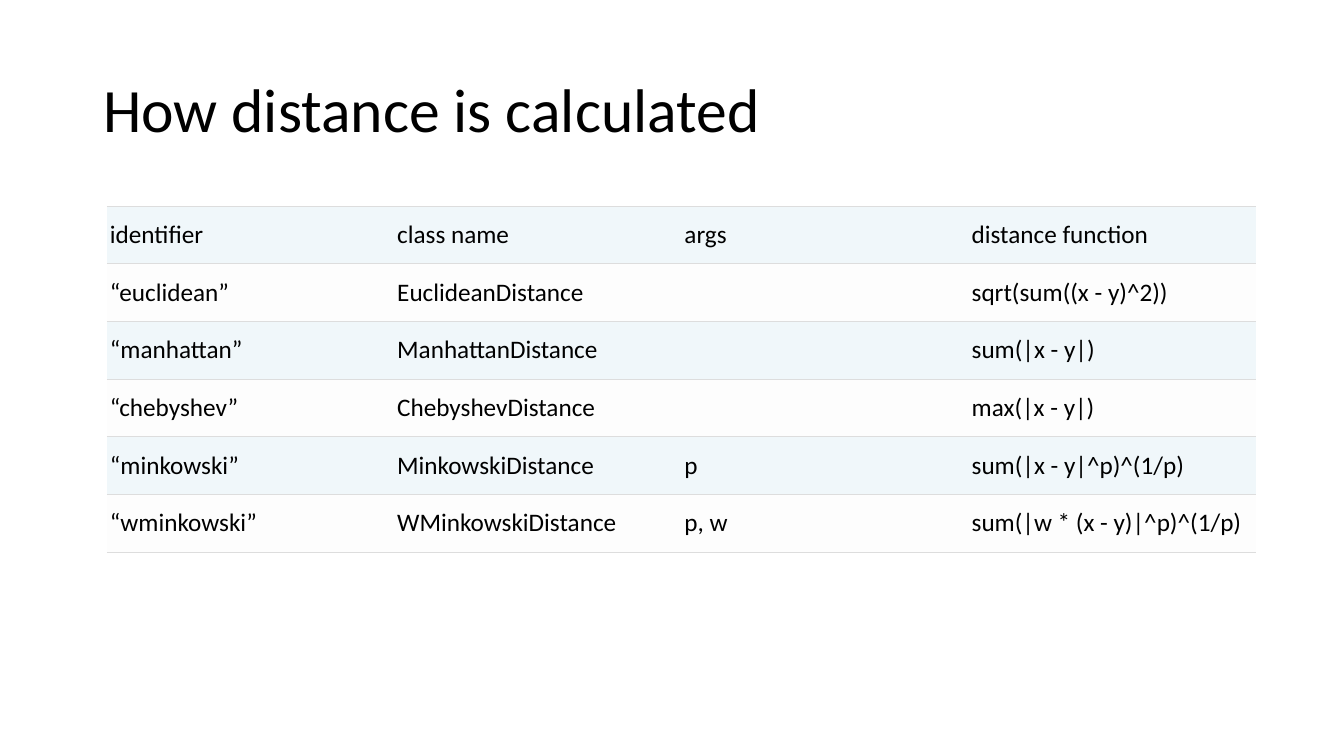
from lxml.etree import SubElement
from pptx import Presentation
from pptx.dml.color import RGBColor
from pptx.enum.text import MSO_ANCHOR as Anchor, PP_ALIGN as Align
from pptx.oxml.ns import qn
from pptx.util import Pt

EMU_PER_PIXEL = 914400 / 100.8
BLACK = RGBColor(0x00, 0x00, 0x00)
BAND_BLUE = RGBColor(0xF0, 0xF7, 0xFA)
BAND_WHITE = RGBColor(0xFD, 0xFD, 0xFD)
RULE_GRAY = RGBColor(0xDD, 0xDD, 0xDD)
NBSP = "\u00a0"

HEADINGS = ("identifier", "class name", "args", "distance function")
METRICS = (
    ("“euclidean”", "EuclideanDistance", "", "sqrt(sum((x - y)^2))"),
    ("“manhattan”", "ManhattanDistance", "", "sum(|x - y|)"),
    ("“chebyshev”", "ChebyshevDistance", "", "max(|x - y|)"),
    ("“minkowski”", "MinkowskiDistance", "p", "sum(|x - y|^p)^(1/p)"),
    ("“wminkowski”", "WMinkowskiDistance", "p, w", "sum(|w * (x - y)|^p)^(1/p)"),
)


def px(pixels):
    """Turn pixels into EMU."""
    return round(pixels * EMU_PER_PIXEL)


class SlideBuilder:
    """Hold the style and the current slide."""

    font_name = "Calibri"

    def __init__(self, page):
        """Keep the slide to build on."""
        self.page = page

    def style(self, para, size):
        """Set the font and left alignment of a paragraph."""
        para.alignment = Align.LEFT
        para.font.name = self.font_name
        para.font.size = Pt(size)
        para.font.color.rgb = BLACK

    def title(self, text, left, top, width, height):
        """Fill and place the title placeholder."""
        box = self.page.shapes.title
        box.left, box.top, box.width, box.height = map(px, (left, top, width, height))
        box.text_frame.text = text
        box.text_frame.vertical_anchor = Anchor.MIDDLE
        para = box.text_frame.paragraphs[0]
        self.style(para, 44)
        para.line_spacing = 0.9

    def rule_cell(self, cell):
        """Draw thin rules above and below a cell, none at its sides."""
        properties = cell._tc.get_or_add_tcPr()
        for side in ("L", "R", "T", "B"):
            line = SubElement(properties, qn(f"a:ln{side}"), w=str(Pt(0.5)))
            if side in "LR":
                SubElement(line, qn("a:noFill"))
            else:
                fill = SubElement(line, qn("a:solidFill"))
                SubElement(fill, qn("a:srgbClr"), val=str(RULE_GRAY))

    def table(self, rows, left, top, width, height):
        """Add a table with equal columns and rows in two band colours."""
        frame = self.page.shapes.add_table(
            len(rows), len(rows[0]), *map(px, (left, top, width, height)))
        table = frame.table
        table.first_row = table.horz_banding = False
        for row_index, row in enumerate(rows):
            for column_index, text in enumerate(row):
                cell = table.cell(row_index, column_index)
                cell.text = text
                cell.vertical_anchor = Anchor.MIDDLE
                cell.margin_left, cell.margin_right = px(3), px(6)
                cell.margin_top = cell.margin_bottom = px(1)
                self.style(cell.text_frame.paragraphs[0], 18)
                self.rule_cell(cell)
                cell.fill.solid()
                cell.fill.fore_color.rgb = BAND_WHITE if row_index % 2 else BAND_BLUE


def main():
    """Build the slide and save it."""
    deck = Presentation()
    deck.slide_width, deck.slide_height = px(1344), px(756)
    builder = SlideBuilder(deck.slides.add_slide(deck.slide_layouts[5]))
    builder.title("How distance is calculated", 93, 40, 1159, 146)
    metric_rows = [(*names, formula.replace(" ", NBSP)) for *names, formula in METRICS]
    builder.table([HEADINGS, *metric_rows], 107, 206, 1149, 346)
    deck.save("out.pptx")


main()
